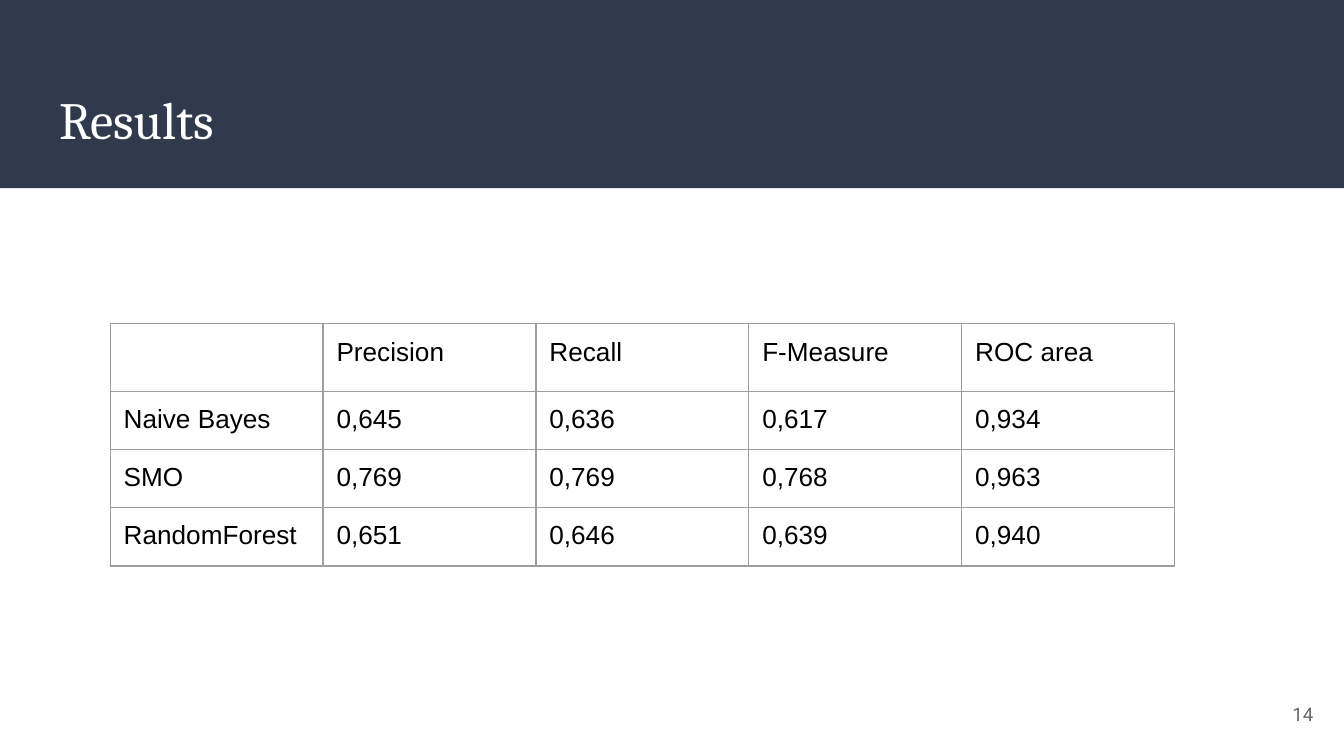
from pptx import Presentation
from pptx import util as u
from pptx.dml.color import RGBColor
from pptx.enum import shapes, text
from pptx.oxml import parse_xml
from pptx.oxml.ns import nsdecls

HEADINGS = ["", "Precision", "Recall", "F-Measure", "ROC area"]
RESULTS = [
    ["Naive Bayes", "0,645", "0,636", "0,617", "0,934"],
    ["SMO", "0,769", "0,769", "0,768", "0,963"],
    ["RandomForest", "0,651", "0,646", "0,639", "0,940"],
]


def color(value):
    return RGBColor.from_string(value)


class SlideBuilder:
    NAVY, WHITE, BLACK = "31394D", "FFFFFF", "000000"
    GRAY, BORDER = "666666", "9E9E9E"
    INSET = u.Inches(0.1)

    def __init__(self, slide):
        self.slide = slide

    def set_margins(self, target):
        target.margin_left = target.margin_right = self.INSET
        target.margin_top = target.margin_bottom = self.INSET

    def style_text(self, frame, font, size, fill, align=text.PP_ALIGN.LEFT):
        for para in frame.paragraphs:
            para.alignment = align
            for span in para.runs:
                span.font.name = font
                span.font.size = u.Pt(size)
                span.font.color.rgb = color(fill)

    def place(self, shape, left, top, width, height):
        shape.left, shape.top = u.Inches(left), u.Inches(top)
        shape.width, shape.height = u.Inches(width), u.Inches(height)

    def band(self, width, height):
        """Draw the header band behind everything else."""
        band = self.slide.shapes.add_shape(
            shapes.MSO_SHAPE.RECTANGLE, 0, 0, u.Inches(width), u.Inches(height))
        band.shadow.inherit = False
        band.fill.solid()
        band.fill.fore_color.rgb = color(self.NAVY)
        band.line.fill.background()
        tree = band.element.getparent()
        tree.insert(2, band.element)

    def title(self, words, *bounds):
        title = self.slide.shapes.title
        self.place(title, *bounds)
        frame = title.text_frame
        frame.text = words
        frame.auto_size = text.MSO_AUTO_SIZE.NONE
        frame.vertical_anchor = text.MSO_ANCHOR.TOP
        self.set_margins(frame)
        self.style_text(frame, "Cambria", 28, self.WHITE)

    def page_number(self, number, *bounds):
        box = self.slide.shapes.add_textbox(*map(u.Inches, bounds))
        frame = box.text_frame
        frame.text = number
        frame.word_wrap = True
        frame.vertical_anchor = text.MSO_ANCHOR.MIDDLE
        self.set_margins(frame)
        self.style_text(frame, "Roboto", 10, self.GRAY, text.PP_ALIGN.RIGHT)

    def border(self, cell):
        properties = cell._tc.get_or_add_tcPr()
        for index, side in enumerate(("lnL", "lnR", "lnT", "lnB")):
            properties.insert(index, parse_xml(
                f'<a:{side} {nsdecls("a")} w="{u.Pt(0.75)}"><a:solidFill>'
                f'<a:srgbClr val="{self.BORDER}"/></a:solidFill></a:{side}>'))

    def size_empty(self, cell):
        """Give an empty cell the line height of 18 point Arial."""
        cell.text_frame.paragraphs[0]._p.append(parse_xml(
            f'<a:endParaRPr {nsdecls("a")} sz="1800">'
            '<a:latin typeface="Arial"/></a:endParaRPr>'))

    def table(self, rows, left, top, width, row_height, frame_size):
        frame = self.slide.shapes.add_table(
            len(rows), len(rows[0]), u.Inches(left), u.Inches(top),
            u.Inches(width), row_height * len(rows))
        table = frame.table
        table.first_row = table.horz_banding = False
        for row, values in zip(table.rows, rows):
            row.height = row_height
            for cell, value in zip(row.cells, values):
                cell.fill.background()
                self.border(cell)
                self.set_margins(cell)
                if value:
                    cell.text_frame.text = value
                    self.style_text(cell.text_frame, "Arial", 14, self.BLACK)
                else:
                    self.size_empty(cell)
        self.place(frame, left, top, frame_size, frame_size)


def main():
    deck = Presentation()
    deck.slide_width = u.Inches(10)
    deck.slide_height = deck.slide_width * 9 // 16
    builder = SlideBuilder(deck.slides.add_slide(deck.slide_layouts[5]))
    builder.band(10, 1.4)
    builder.title("Results", 0.34, 0.55, 9.32, 0.68)
    builder.page_number("14", 9.27, 5.1, 0.6, 0.43)
    builder.table([HEADINGS] + RESULTS, 0.82, 2.41, 7.92, u.Pt(30), 3.28)
    deck.save("out.pptx")


if __name__ == "__main__":
    main()
